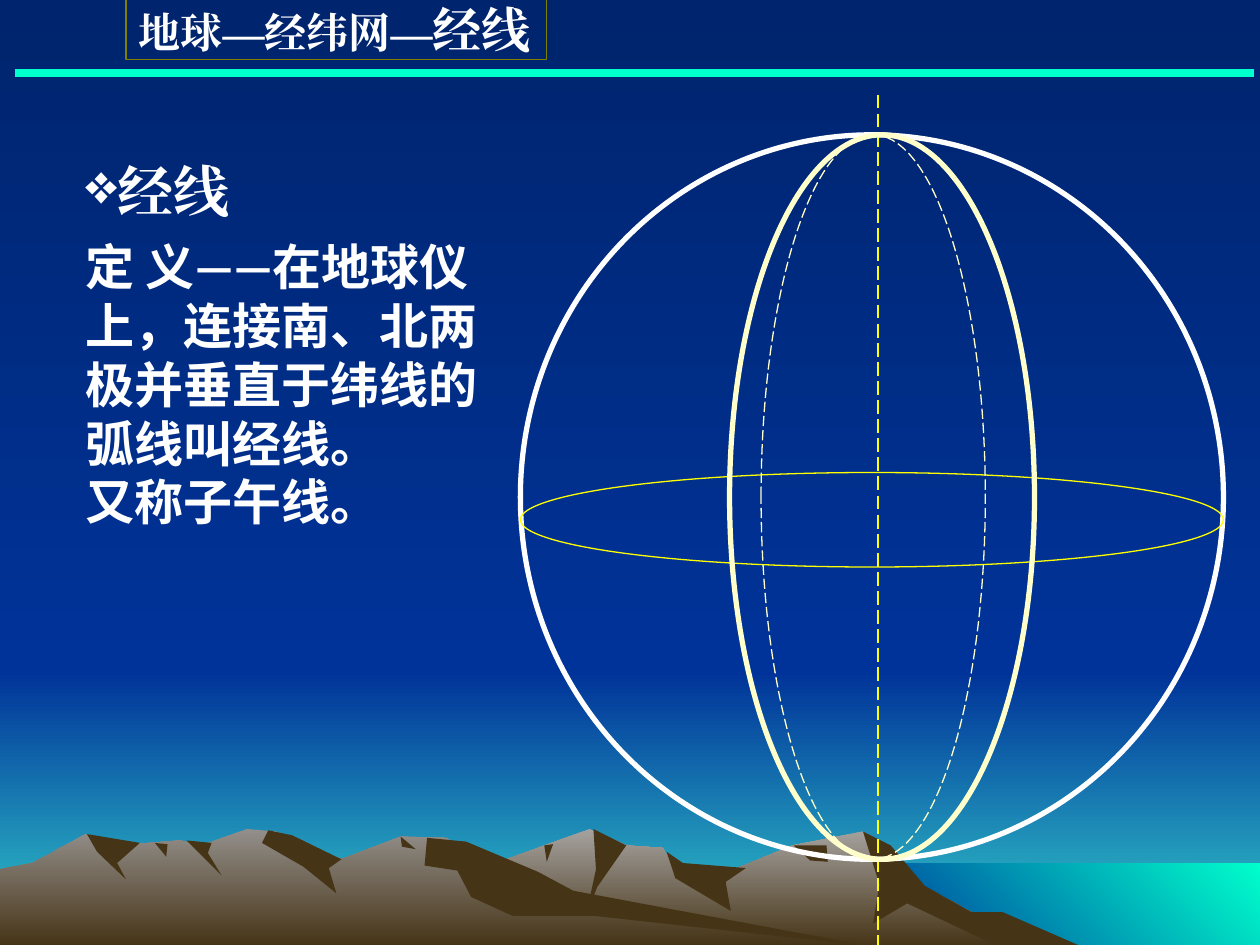
import pptx
import pptx.dml.color
import pptx.enum.dml
import pptx.enum.shapes
import pptx.enum.text
import pptx.oxml.ns
import pptx.util
from lxml import etree

RGBColor = pptx.dml.color.RGBColor
NIGHT = RGBColor(0x00, 0x18, 0x47)
DEEP_BLUE = RGBColor(0x00, 0x24, 0x6D)
BLUE = RGBColor(0x00, 0x33, 0x99)
TEAL = RGBColor(0x33, 0xCC, 0xCC)
AQUA = RGBColor(0x00, 0xFF, 0xCC)
STONE = RGBColor(0xA5, 0xA2, 0x9F)
GREY_STONE = RGBColor(0x93, 0x8F, 0x8B)
EARTH = RGBColor(0x46, 0x34, 0x16)
OLIVE = RGBColor(0x80, 0x80, 0x00)
WHITE = RGBColor(0xFF, 0xFF, 0xFF)
YELLOW = RGBColor(0xFF, 0xFF, 0x00)
CREAM = RGBColor(0xFF, 0xFF, 0xCC)
SERIF, SANS, CHINESE = "Times New Roman", "Lato", "Noto Sans CJK SC"
DASH = pptx.enum.dml.MSO_LINE.LONG_DASH

# The grid has 1000 columns and 750 rows, each a hundredth of an inch
COLUMNS, ROWS = 1000, 750
CELL = pptx.util.Inches(0.01)

# Each range: its gradient, its ridge, then the shaded slopes lying on it
RANGES = [
    ((STONE, EARTH),
     [(258, 751), (327, 709), (394, 685), (468, 658), (497, 671), (526, 673), (536, 690),
      (566, 697), (629, 671), (685, 660), (723, 698), (821, 751)],
     [[(685, 660), (707, 671), (734, 703), (771, 724), (796, 724), (858, 751), (792, 751),
       (720, 717), (693, 733), (698, 702)],
      [(471, 658), (497, 671), (474, 704), (465, 727), (473, 690)],
      [(529, 676), (542, 685), (592, 689), (576, 700), (580, 723), (536, 697)],
      [(630, 671), (656, 671), (657, 684), (643, 683)],
      [(432, 671), (439, 670), (434, 684)]]),
    ((GREY_STONE, EARTH),
     [(0, 751), (0, 690), (26, 685), (68, 662), (94, 671), (143, 667), (160, 671),
      (196, 658), (219, 660), (271, 682), (318, 664), (354, 665), (432, 712), (690, 751)],
     [[(213, 659), (232, 663), (271, 682), (261, 689), (267, 709), (241, 688), (208, 669)],
      [(339, 665), (370, 668), (427, 692), (455, 707), (690, 751), (472, 727), (407, 727),
       (374, 712), (363, 691), (337, 687)],
      [(318, 664), (330, 674), (319, 672)],
      [(148, 667), (168, 669), (165, 677), (176, 695)],
      [(123, 669), (133, 670), (132, 680)],
      [(69, 662), (111, 669), (93, 685), (100, 698), (77, 676)]]),
]


def paint(fill, colors, angle=270):
    """Fill with one colour, or with a gradient between two."""
    if isinstance(colors, RGBColor):
        fill.solid()
        fill.fore_color.rgb = colors
        return
    fill.gradient()
    fill.gradient_angle = angle
    for stop, color in zip(fill.gradient_stops, colors):
        stop.color.rgb = color


def write(paragraph, *runs, spacing, bullet=None):
    """Write (text, size, font) runs in bold white."""
    properties = paragraph._p.get_or_add_pPr()
    properties.set("marL", "0")
    properties.set("indent", "0")
    tag = "a:buChar" if bullet else "a:buNone"
    mark = etree.SubElement(properties, pptx.oxml.ns.qn(tag))
    if bullet:
        mark.set("char", bullet)
    paragraph.alignment = pptx.enum.text.PP_ALIGN.LEFT
    paragraph.line_spacing = pptx.util.Pt(spacing)
    paragraph.space_before = pptx.util.Pt(0)
    for text, size, font in runs:
        run = paragraph.add_run()
        run.text = text
        run.font.size = pptx.util.Pt(size)
        run.font.bold = True
        run.font.color.rgb = WHITE
        run.font.name = font
        east_asian = etree.SubElement(run.font._element, pptx.oxml.ns.qn("a:ea"))
        east_asian.set("typeface", font)


class Canvas:
    def __init__(self, slide):
        self.slide = slide
        self.shapes = slide.shapes

    def outline(self, line, color, width, dash=None):
        line.color.rgb = color
        line.width = pptx.util.Pt(width)
        if dash:
            line.dash_style = dash

    def polygon(self, points, colors, angle=270):
        builder = self.shapes.build_freeform(*points[0], scale=CELL)
        builder.add_line_segments(points[1:], close=True)
        shape = builder.convert_to_shape()
        shape.shadow.inherit = False
        shape.line.fill.background()
        paint(shape.fill, colors, angle)

    def band(self, left, top, right, bottom, colors, angle=270):
        corners = [(left, top), (right, top), (right, bottom), (left, bottom)]
        self.polygon(corners, colors, angle)

    def ellipse(self, left, top, width, height, color, weight, dash=None):
        shape = self.shapes.add_shape(pptx.enum.shapes.MSO_SHAPE.OVAL,
                                      *(n * CELL for n in (left, top, width, height)))
        shape.shadow.inherit = False
        shape.fill.background()
        self.outline(shape.line, color, weight, dash)

    def line(self, start, end, color, weight, dash=None):
        connector = self.shapes.add_connector(pptx.enum.shapes.MSO_CONNECTOR.STRAIGHT,
                                              *(n * CELL for n in start + end))
        etree.SubElement(connector._element.spPr, pptx.oxml.ns.qn("a:effectLst"))
        self.outline(connector.line, color, weight, dash)

    def text_frame(self, shape, left, top, width, height, wrap=True, inset=0.05):
        """Place a text shape in front and make its frame ready."""
        shape.left, shape.top = left * CELL, top * CELL
        shape.width, shape.height = width * CELL, height * CELL
        self.shapes.element.append(shape.element)
        frame = shape.text_frame
        frame.auto_size = pptx.enum.text.MSO_AUTO_SIZE.NONE
        frame.vertical_anchor = pptx.enum.text.MSO_ANCHOR.TOP
        frame.word_wrap = wrap
        frame.margin_top = frame.margin_bottom = pptx.util.Inches(inset)
        return frame


def main():
    presentation = pptx.Presentation()
    presentation.slide_width, presentation.slide_height = COLUMNS * CELL, ROWS * CELL
    slide = presentation.slides.add_slide(presentation.slide_layouts[1])
    canvas = Canvas(slide)

    # Sky, sea and mountains
    paint(slide.background.fill, (NIGHT, BLUE))
    canvas.band(0, 533, COLUMNS, ROWS, (BLUE, TEAL))
    canvas.band(0, 0, COLUMNS, 533, (DEEP_BLUE, BLUE))
    canvas.band(683, 685, COLUMNS, 752, (BLUE, AQUA), angle=45)
    for colors, ridge, slopes in RANGES:
        canvas.polygon(ridge, colors)
        for slope in slopes:
            canvas.polygon(slope, EARTH)

    # Heading and definition
    heading = canvas.shapes.add_textbox(0, 0, CELL, CELL)
    frame = canvas.text_frame(heading, 58, 119, 149, 63, wrap=False)
    write(frame.paragraphs[0], ("经线", 32, SERIF), spacing=38.4, bullet="❖")
    body = slide.placeholders[1]
    frame = canvas.text_frame(body, 58, 183, 350, 244)
    write(frame.paragraphs[0], ("定 义", 28, CHINESE), ("——", 28, SANS),
          ("在地球仪上，连接南、北两极并垂直于纬线的弧线叫经线。", 28, CHINESE), spacing=33.6)
    write(frame.add_paragraph(), ("又称子午线。", 28, CHINESE), spacing=33.6)

    # Title and rule
    title = canvas.shapes.title
    frame = canvas.text_frame(title, 100, -1, 334, 48, wrap=False, inset=0)
    canvas.outline(title.line, OLIVE, 0.75)
    write(frame.paragraphs[0], ("地球—经纬网—", 24, SERIF), ("经线", 28, SERIF), spacing=34)
    canvas.line((12, 58), (995, 58), AQUA, 4.5)

    # Globe: outline, axis, equator and meridians
    canvas.ellipse(413, 107, 558, 575, WHITE, 3)
    canvas.line((697, 75), (697, ROWS), YELLOW, 1, DASH)
    canvas.ellipse(413, 375, 558, 75, YELLOW, 0.75)
    canvas.ellipse(579, 107, 242, 575, CREAM, 3)
    canvas.ellipse(604, 107, 178, 575, CREAM, 0.75, DASH)

    presentation.save("out.pptx")


if __name__ == "__main__":
    main()
